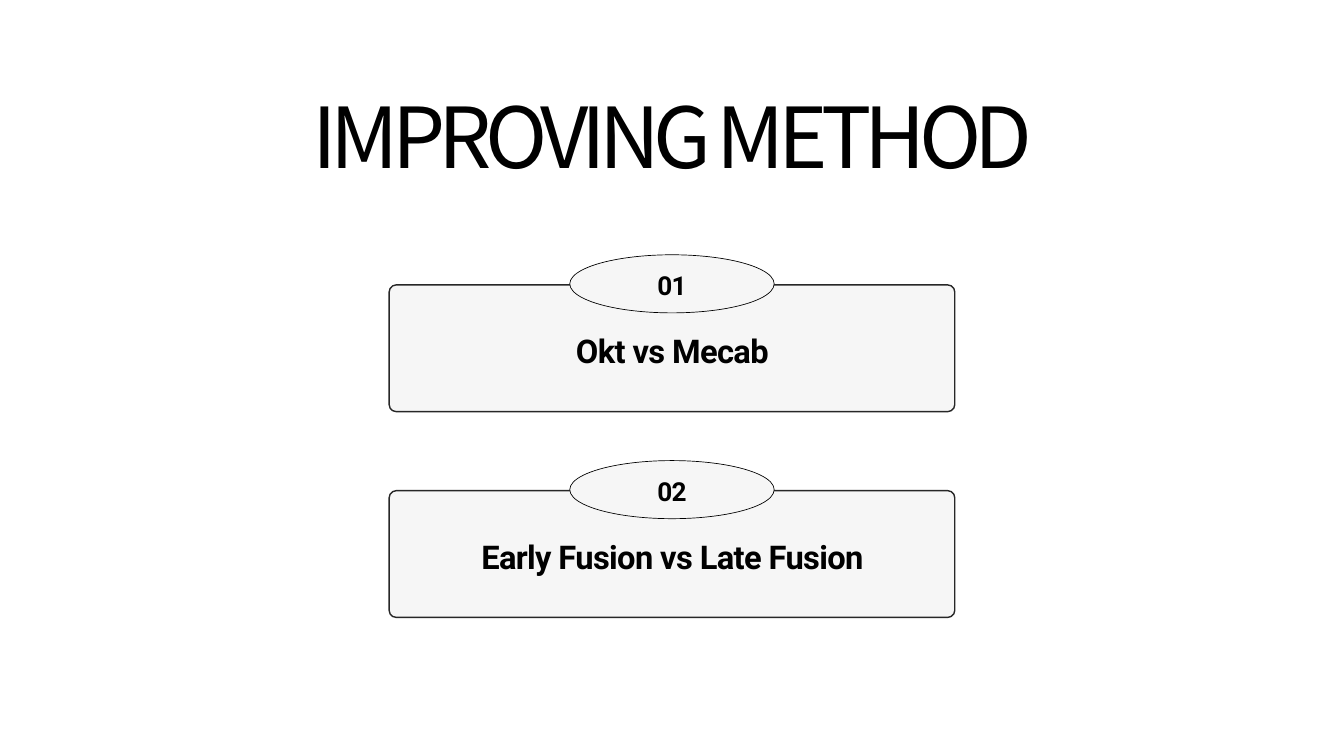
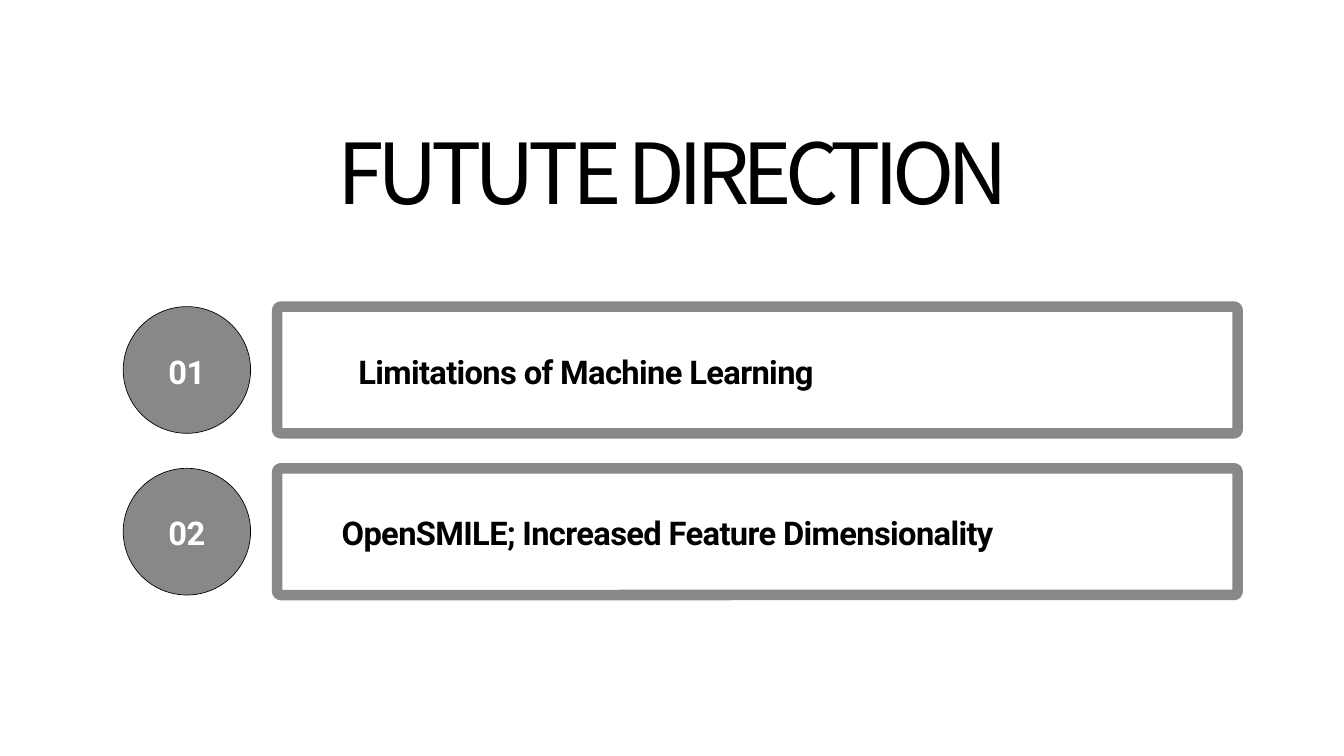
"""Build two slides of numbered points, one with tabbed cards and one with bars."""
import dataclasses
import typing

import pptx
import pptx.dml.color
import pptx.enum.shapes
import pptx.enum.text
import pptx.util

PX = 9525
INK = {"black": "000000", "white": "FFFFFF", "pale": "F6F6F6",
       "edge": "272727", "grey": "888888"}
SANS = "Roboto"
HEAD = "Noto Sans CJK KR"
FORM = pptx.enum.shapes.MSO_SHAPE
ALIGN = pptx.enum.text.PP_ALIGN


class Area(typing.NamedTuple):
    left: int
    top: int
    width: int
    height: int

    def down(self, step: int) -> "Area":
        return self._replace(top=self.top + step)

    def emu(self) -> list[int]:
        return [side * PX for side in self]


@dataclasses.dataclass(frozen=True)
class Look:
    box: Area
    badge: Area
    digit: Area
    pitch: int
    fill: str
    line: str
    weight: float
    radius: int
    tint: str
    ink: str
    size: int
    lead: float


@dataclasses.dataclass(frozen=True)
class Point:
    text: str
    area: Area
    align: ALIGN = ALIGN.CENTER


CARD = Look(box=Area(556, 407, 808, 181), badge=Area(814, 364, 292, 83),
            digit=Area(854, 377, 212, 50), pitch=294, fill="pale", line="edge",
            weight=1.5, radius=10, tint="pale", ink="black", size=28, lead=39.2)
BAR = Look(box=Area(396, 438, 1372, 181), badge=Area(176, 438, 182, 181),
           digit=Area(176, 493, 182, 62), pitch=231, fill="white", line="grey",
           weight=11.25, radius=5, tint="grey", ink="white", size=35, lead=49)


def tone(name: str) -> pptx.dml.color.RGBColor:
    return pptx.dml.color.RGBColor.from_string(INK[name])


def write(shape, text: str, *, size: int = 35, lead: float = 49, font: str = SANS,
          ink: str = "black", bold: bool = True, track: float = -0.7,
          align: ALIGN = ALIGN.CENTER) -> None:
    frame = shape.text_frame
    frame.word_wrap = True
    frame.auto_size = pptx.enum.text.MSO_AUTO_SIZE.NONE
    frame.vertical_anchor = pptx.enum.text.MSO_ANCHOR.TOP
    frame.margin_left = frame.margin_top = 0
    frame.margin_right = frame.margin_bottom = 0
    para = frame.paragraphs[0]
    para.alignment = align
    para.line_spacing = pptx.util.Pt(lead)
    run = para.add_run()
    run.text = text
    run.font.size = pptx.util.Pt(size)
    run.font.name = font
    run.font.bold = bold
    run.font.color.rgb = tone(ink)
    run._r.get_or_add_rPr().set("spc", str(round(track * 100)))


def draw(slide, form: FORM, area: Area, fill: str, line: str, weight: float):
    shape = slide.shapes.add_shape(form, *area.emu())
    shape.shadow.inherit = False
    shape.fill.solid()
    shape.fill.fore_color.rgb = tone(fill)
    shape.line.color.rgb = tone(line)
    shape.line.width = pptx.util.Pt(weight)
    return shape


def place(slide, area: Area, text: str, **style) -> None:
    write(slide.shapes.add_textbox(*area.emu()), text, **style)


def start(deck, title: str, area: Area, lead: float):
    slide = deck.slides.add_slide(deck.slide_layouts.get_by_name("Title Only"))
    head = slide.shapes.title
    head.left, head.top, head.width, head.height = area.emu()
    write(head, title, size=90, lead=lead, font=HEAD, bold=False, track=-7.2)
    return slide


def list_points(slide, look: Look, points: list[Point]) -> None:
    for row, point in enumerate(points):
        step = row * look.pitch
        box = draw(slide, FORM.ROUNDED_RECTANGLE, look.box.down(step),
                   look.fill, look.line, look.weight)
        box.adjustments[0] = look.radius / look.box.height
        draw(slide, FORM.OVAL, look.badge.down(step), look.tint, "black", 0.75)
        place(slide, look.digit.down(step), f"{row + 1:02}", size=look.size,
              lead=look.lead, ink=look.ink, track=-look.size / 50)
        place(slide, point.area.down(step), point.text, align=point.align)


def main() -> None:
    deck = pptx.Presentation()
    deck.slide_width, deck.slide_height = 1920 * PX, 1080 * PX

    slide = start(deck, "IMPROVING METHOD", Area(370, 120, 1182, 146), 108)
    label = Area(607, 463, 707, 62)
    list_points(slide, CARD, [Point("Okt vs Mecab", label),
                              Point("Early Fusion vs Late Fusion", label)])

    slide = start(deck, "FUTUTE DIRECTION", Area(266, 199, 1391, 126), 88.2)
    list_points(slide, BAR, [
        Point("Limitations of Machine Learning", Area(469, 493, 736, 62)),
        Point("OpenSMILE; Increased Feature Dimensionality",
              Area(488, 493, 1357, 62), ALIGN.LEFT)])

    deck.save("out.pptx")


if __name__ == "__main__":
    main()
